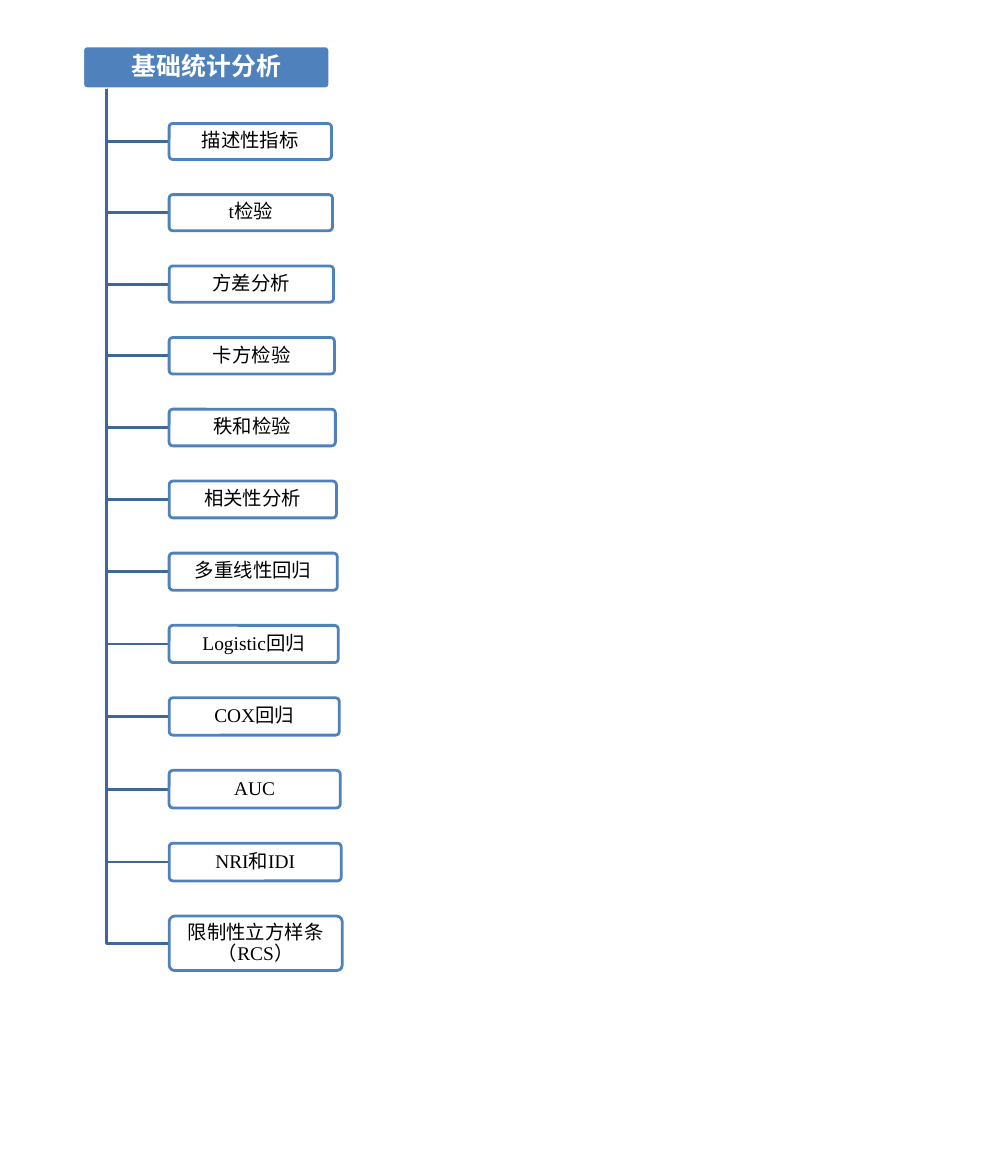
from lxml.etree import SubElement
from pptx import Presentation
from pptx.dml.color import RGBColor
from pptx.enum.shapes import MSO_SHAPE
from pptx.enum.text import MSO_ANCHOR, PP_ALIGN
from pptx.oxml.ns import qn
from pptx.util import Pt

BLUE = RGBColor(0x4F, 0x81, 0xBD)
DARK_BLUE = RGBColor(0x3F, 0x67, 0x97)
WHITE = RGBColor(0xFF, 0xFF, 0xFF)
BLACK = RGBColor(0x00, 0x00, 0x00)
HAN, LATIN = "Calibri", "Times New Roman"

TITLE = [("基础统计分析", HAN)]
METHODS = [
    [("描述性指标", HAN)],
    [("t", LATIN), ("检验", HAN)],
    [("方差分析", HAN)],
    [("卡方检验", HAN)],
    [("秩和检验", HAN)],
    [("相关性分析", HAN)],
    [("多重线性回归", HAN)],
    [("Logistic", LATIN), ("回归", HAN)],
    [("COX", LATIN), ("回归", HAN)],
    [("AUC", LATIN)],
    [("NRI和IDI", LATIN)],
    [("限制性立方样条（RCS）", LATIN)],
]

TRUNK_X, TRUNK_TOP = 77.2, 64.1
METHOD_LEFT, METHOD_TOP, METHOD_GAP = 122.3, 89.3, 25.45
METHOD_WIDTH, WIDTH_STEP = 117.4, 0.7
METHOD_HEIGHT, HEIGHT_STEP = 26, 0.13
TWO_LINE_HEIGHT = 39.4


def write_label(box, pieces, size, color, bold=False, inset=(2, 1.4)):
    """Write centred text, given as (text, font) pieces, into a box."""
    frame = box.text_frame
    frame.word_wrap = True
    frame.vertical_anchor = MSO_ANCHOR.MIDDLE
    frame.margin_left = frame.margin_right = Pt(inset[0])
    frame.margin_top = frame.margin_bottom = Pt(inset[1])
    label = frame.paragraphs[0]
    label.alignment = PP_ALIGN.CENTER
    label.line_spacing = 0.9
    label.space_after = Pt(size * 0.35)
    for words, typeface in pieces:
        run = label.add_run()
        run.text = words
        run.font.name = typeface
        run.font.size = Pt(size)
        run.font.bold = bold
        run.font.color.rgb = color


def add_box(slide, left, top, width, height, fill, outline, opacity=100):
    """Add a slightly rounded box and return it."""
    box = slide.shapes.add_shape(
        MSO_SHAPE.ROUNDED_RECTANGLE, Pt(left), Pt(top), Pt(width), Pt(height))
    box.adjustments[0] = 0.1
    box.shadow.inherit = False
    box.fill.solid()
    box.fill.fore_color.rgb = fill
    if opacity < 100:
        shade = box.fill._xPr.find(qn("a:solidFill"))[0]
        SubElement(shade, qn("a:alpha"), val=str(opacity * 1000))
    box.line.color.rgb = outline
    box.line.width = Pt(2)
    return box


def add_branch(slide, middle):
    """Draw an elbow from the title down to the middle of a method box."""
    builder = slide.shapes.build_freeform(Pt(TRUNK_X), Pt(TRUNK_TOP))
    builder.add_line_segments(
        [(Pt(TRUNK_X), Pt(middle)), (Pt(METHOD_LEFT), Pt(middle))], close=False)
    branch = builder.convert_to_shape()
    branch.shadow.inherit = False
    branch.fill.background()
    branch.line.color.rgb = DARK_BLUE
    branch.line.width = Pt(2)


def main():
    """Build the tree of statistical methods."""
    deck = Presentation()
    deck.slide_width, deck.slide_height = Pt(720), Pt(850.32)
    slide = deck.slides.add_slide(deck.slide_layouts[6])

    title = add_box(slide, 59.8, 33.2, 178.6, 31, BLUE, WHITE)
    write_label(title, TITLE, 18, WHITE, bold=True, inset=(2.7, 1.8))

    top = METHOD_TOP
    for index, pieces in enumerate(METHODS):
        is_last = index == len(METHODS) - 1
        height = TWO_LINE_HEIGHT if is_last else METHOD_HEIGHT + index * HEIGHT_STEP
        add_branch(slide, top + height / 2)
        method = add_box(slide, METHOD_LEFT, top, METHOD_WIDTH + index * WIDTH_STEP,
                         height, WHITE, BLUE, opacity=90)
        write_label(method, pieces, 14, BLACK)
        top += height + METHOD_GAP

    deck.save("out.pptx")


main()
